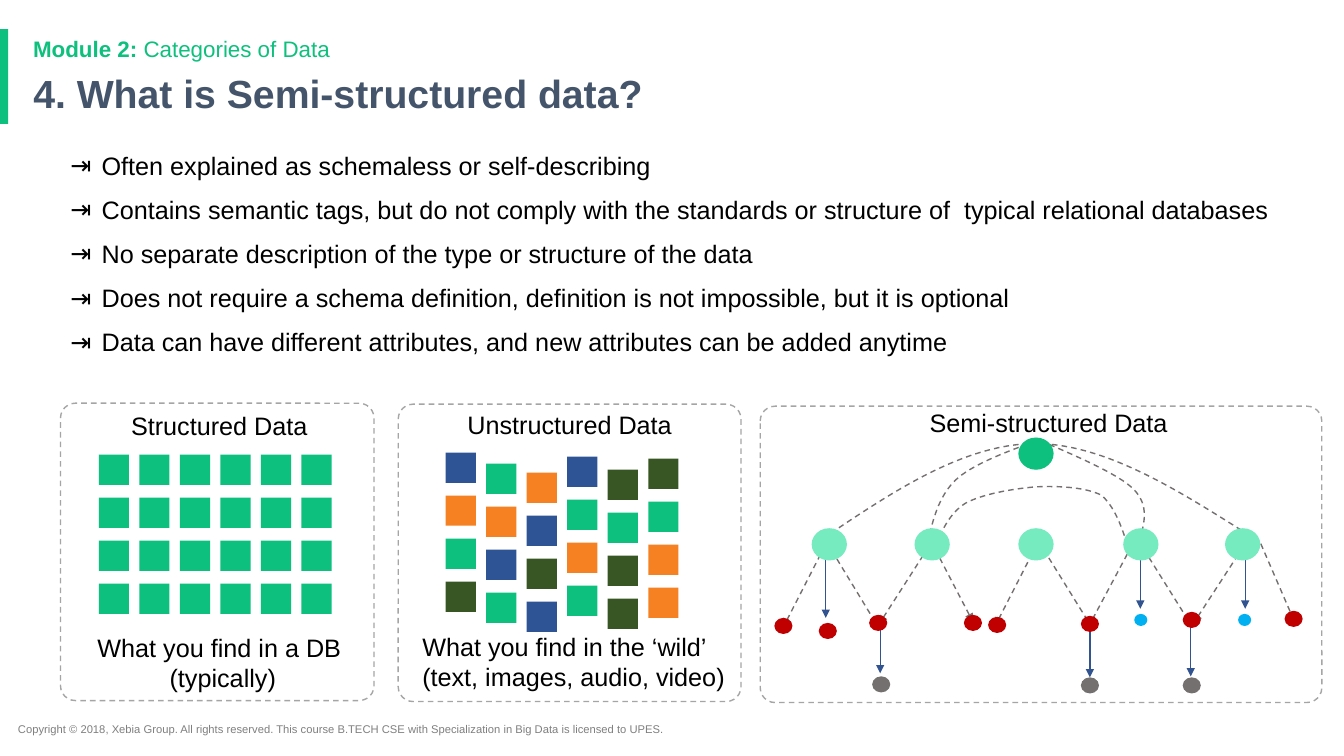
from dataclasses import dataclass

from lxml import etree
from pptx import Presentation
from pptx.dml.color import RGBColor
from pptx.enum.dml import MSO_LINE
from pptx.enum.shapes import MSO_CONNECTOR, MSO_SHAPE as SHAPE
from pptx.enum.text import MSO_ANCHOR as ANCHOR, PP_ALIGN as ALIGN
from pptx.oxml.ns import qn
from pptx.util import Pt

EMU_PER_PX = 9144  # 100 px to the inch


@dataclass(frozen=True)
class Theme:
    font: str = "Arial"
    green: str = "0EC07D"
    mint: str = "75EBBF"
    navy: str = "2F5496"
    orange: str = "F58123"
    forest: str = "385623"
    red: str = "C00000"
    sky: str = "00B0F0"
    gray: str = "757070"
    border: str = "A5A5A5"
    arrow: str = "31538F"
    heading: str = "44546A"
    footer: str = "7F7F7F"
    black: str = "000000"
    white: str = "FFFFFF"
    title_size: int = 28
    body_size: int = 18
    module_size: int = 16
    footer_size: int = 8


T = Theme()


def px(n):
    return round(n * EMU_PER_PX)


def rgb(color):
    return RGBColor.from_string(color)


def spread(first, last, count):
    return [first + (last - first) * i / (count - 1) for i in range(count)]


def write(s, paragraphs, size=T.body_size, color=T.black, bold=False, align=ALIGN.LEFT,
          anchor=ANCHOR.TOP, line_spacing=None, gap=0, bullet=None):
    """Fill a shape; each paragraph is a string or a list of (text, bold) runs."""
    tf = s.text_frame
    tf.word_wrap = True
    tf.vertical_anchor = anchor
    for i, runs in enumerate(paragraphs):
        p = tf.add_paragraph() if i else tf.paragraphs[0]
        p.alignment = align
        p.line_spacing = line_spacing
        p.space_before = Pt(gap if i else 0)
        if bullet:
            pPr = p._p.get_or_add_pPr()
            pPr.set("marL", str(px(31)))
            pPr.set("indent", str(-px(31)))
            etree.SubElement(pPr, qn("a:buFont")).set("typeface", T.font)
            etree.SubElement(pPr, qn("a:buChar")).set("char", bullet)
        for text, strong in [(runs, bold)] if isinstance(runs, str) else runs:
            for k, line in enumerate(text.split("\n")):
                if k:
                    p.add_line_break()
                r = p.add_run()
                r.text = line
                r.font.name = T.font
                r.font.size = Pt(size)
                r.font.bold = strong
                r.font.color.rgb = rgb(color)


def add_text(shapes, x, y, w, h, paragraphs, **fmt):
    write(shapes.add_textbox(px(x), px(y), px(w), px(h)), paragraphs, **fmt)


def add_solid(shapes, kind, x, y, w, h, color):
    s = shapes.add_shape(kind, px(x), px(y), px(w), px(h))
    s.shadow.inherit = False
    s.fill.solid()
    s.fill.fore_color.rgb = rgb(color)
    s.line.fill.background()
    return s


def style_line(line, color, dashed=False, ends=()):
    line.color.rgb = rgb(color)
    line.width = Pt(1)
    if dashed:
        line.dash_style = MSO_LINE.DASH
    for end in ends:
        etree.SubElement(line._get_or_add_ln(), qn(f"a:{end}")).set("type", "triangle")


def add_path(shapes, x, y, points, ends=()):
    emu = [(px(x + dx), px(y + dy)) for dx, dy in points]
    builder = shapes.build_freeform(*emu[0], scale=1.0)
    builder.add_line_segments(emu[1:], close=False)
    s = builder.convert_to_shape()
    s.shadow.inherit = False
    s.fill.background()
    style_line(s.line, T.gray, dashed=True, ends=ends)
    return s


def add_curve(shapes, x, y, knots):
    """Draw a chain of cubic curves: a start, then two controls and an end each."""
    s = add_path(shapes, x, y, knots)
    segments = list(s._element.iter(qn("a:lnTo")))
    for i in range(0, len(segments), 3):
        cubic = etree.Element(qn("a:cubicBezTo"))
        segments[i].addprevious(cubic)
        for segment in segments[i:i + 3]:
            cubic.append(segment[0])
            segment.getparent().remove(segment)


def add_arrow(shapes, x, top, bottom):
    s = shapes.add_connector(MSO_CONNECTOR.STRAIGHT, px(x), px(top), px(x), px(bottom))
    etree.SubElement(s._element.spPr, qn("a:effectLst"))
    style_line(s.line, T.arrow, ends=["tailEnd"])


def add_panel(slide, x, y, w, h):
    shapes = slide.shapes.add_group_shape().shapes
    s = add_solid(shapes, SHAPE.ROUNDED_RECTANGLE, x, y, w, h, T.white)
    s.adjustments[0] = 0.05
    style_line(s.line, T.border, dashed=True)
    return shapes


def add_header(slide, x, y, w):
    add_solid(slide.shapes, SHAPE.RECTANGLE, 0, y - 1, 8, 94, T.green)
    title = slide.shapes.title
    title.left, title.top, title.width, title.height = px(x), px(y + 38), px(w), px(54)
    write(title, ["4. What is Semi-structured data?"], size=T.title_size, color=T.heading,
          bold=True, anchor=ANCHOR.MIDDLE, line_spacing=0.9)
    add_text(slide.shapes, x, y, w, 33, [[("Module 2:", True), (" Categories of Data", False)]],
             size=T.module_size, color=T.green)


def add_structured(slide, x, y, w, h):
    shapes = add_panel(slide, x, y, w, h)
    for top in spread(y + 51, y + 179, 4):
        for left in spread(x + 38, x + 239, 6):
            add_solid(shapes, SHAPE.RECTANGLE, left, top, 30, 30, T.green)
    add_text(shapes, x + 2, y + 2, w, 40, ["Structured Data"], align=ALIGN.CENTER)
    add_text(shapes, x + 21, y + 222, 280, 71, ["What you find in a DB \n(typically)"],
             align=ALIGN.CENTER)


def add_unstructured(slide, x, y, w, h):
    shapes = add_panel(slide, x, y, w, h)
    colors = {"n": T.navy, "g": T.green, "o": T.orange, "f": T.forest}
    columns = ["nogf", "gong", "onfn", "ngog", "fgff", "fgoo"]
    tops = [48, 59, 68, 52, 65, 54]
    for left, top, column in zip(spread(x + 47, x + 248, 6), tops, columns):
        for row, key in zip(spread(y + top, y + top + 128, 4), column):
            add_solid(shapes, SHAPE.RECTANGLE, left, row, 30, 30, colors[key])
    add_text(shapes, x, y, w, 40, ["Unstructured Data"], align=ALIGN.CENTER)
    add_text(shapes, x + 14, y + 220, w - 14, 71,
             ["What you find in the ‘wild’", "(text, images, audio, video)"])


def add_semi_structured(slide, x, y, w, h):
    shapes = add_panel(slide, x, y, w, h)
    # Dashed branches from the middle level to the leaves
    for branch in [[(23, 219), (66, 135), (117, 219)],
                   [(118, 216), (170, 135), (211, 214)],
                   [(233, 218), (276, 134), (328, 218)],
                   [(326, 218), (373, 130), (428, 218)],
                   [(430, 215), (484, 132), (495, 133), (530, 214)]]:
        add_path(shapes, x, y, branch, ends=["headEnd", "tailEnd"])
    # Dashed arcs from the root and between siblings
    for knots in [[(70, 126), (137, 81), (205, 37), (274, 37), (343, 38), (414, 83), (485, 128)],
                  [(166, 136), (171, 113), (177, 90), (193, 74), (209, 58), (248, 44), (264, 38),
                   (270, 33), (270, 31), (287, 38), (305, 46), (356, 67), (371, 83),
                   (386, 99), (381, 116), (376, 134)],
                  [(174, 138), (181, 122), (188, 106), (204, 96), (221, 87), (250, 82), (273, 80),
                   (295, 79), (321, 80), (338, 88), (348, 96), (356, 112), (362, 131)]]:
        add_curve(shapes, x, y, knots)
    for dx, top, bottom in [(427, 207, 268), (327, 208, 269), (119, 216, 265),
                            (481, 141, 201), (377, 141, 201), (65, 141, 210)]:
        add_arrow(shapes, x + dx, y + top, y + bottom)
    # Nodes by level: colour, width, height, positions
    for color, nw, nh, spots in [
            (T.green, 35, 32, [(256, 31)]),
            (T.red, 18, 16, [(14, 210), (58, 215), (108, 207), (202, 207),
                             (226, 209), (318, 208), (419, 204), (520, 203)]),
            (T.gray, 18, 16, [(419, 269), (318, 269), (111, 268)]),
            (T.mint, 35, 32, [(left, 121) for left in (51, 153, 256, 360, 461)]),
            (T.sky, 13, 12, [(371, 206), (474, 206)])]:
        for dx, dy in spots:
            add_solid(shapes, SHAPE.OVAL, x + dx, y + dy, nw, nh, color)
    add_text(shapes, x + 9, y - 4, 554, 40, ["Semi-structured Data"], align=ALIGN.CENTER)


def main():
    prs = Presentation()
    prs.slide_width, prs.slide_height = px(1333), px(750)
    slide = prs.slides.add_slide(prs.slide_layouts[5])
    add_header(slide, 23, 30, 1150)
    add_semi_structured(slide, 754, 403, 557, 294)
    add_structured(slide, 60, 400, 311, 295)
    add_unstructured(slide, 395, 401, 340, 295)
    add_text(slide.shapes, 60, 148, 1233, 529, [
        "Often explained as schemaless or self-describing",
        "Contains semantic tags, but do not comply with the standards or structure of  "
        "typical relational databases",
        "No separate description of the type or structure of the data",
        "Does not require a schema definition, definition is not impossible, but it is optional",
        "Data can have different attributes, and new attributes can be added anytime",
    ], line_spacing=0.9, gap=12, bullet="⇥")
    add_text(slide.shapes, 8, 712, 713, 24, [
        "Copyright © 2018, Xebia Group. All rights reserved. This course B.TECH CSE with "
        "Specialization in Big Data is licensed to UPES."], size=T.footer_size, color=T.footer)
    prs.save("out.pptx")


if __name__ == "__main__":
    main()
